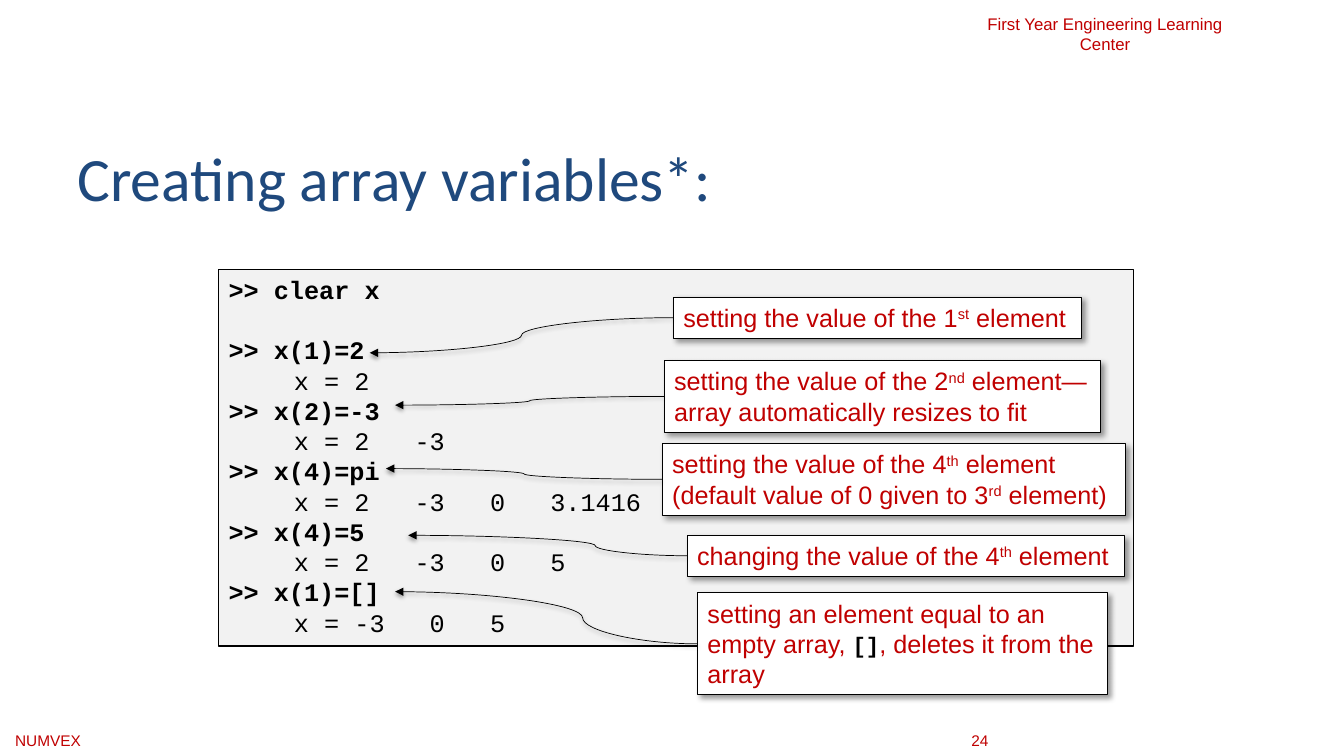
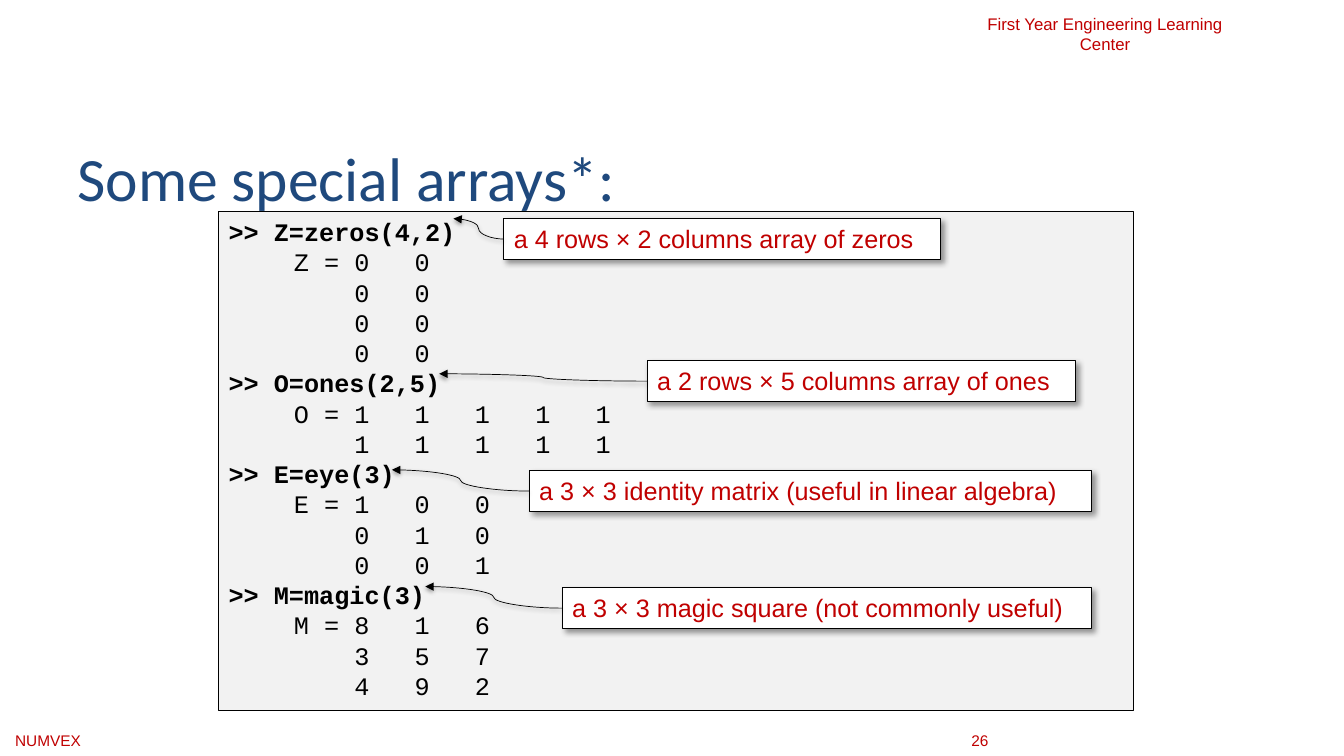
import dataclasses

import lxml.etree
import pptx
import pptx.dml.color
import pptx.enum.shapes
import pptx.enum.text
import pptx.oxml.ns
import pptx.util

Cm = pptx.util.Cm
Pt = pptx.util.Pt
ALIGN = pptx.enum.text.PP_ALIGN
ANCHOR = pptx.enum.text.MSO_ANCHOR

HEADER = "First Year Engineering Learning Center"
COURSE = "NUMVEX"

# Listing entries: command, printed name, rows of printed values.
# Callouts: spans of (text, style), left, top, width, line count, arrow tip, bend.
SLIDES = [
    {
        "title": "Creating array variables*:",
        "number": "24",
        "listing_box": (6.78, 9.5),
        "listing": [
            ("clear x", "", []),
            ("x(1)=2", "x", ["2"]),
            ("x(2)=-3", "x", ["2 -3"]),
            ("x(4)=pi", "x", ["2 -3 0 3.1416"]),
            ("x(4)=5", "x", ["2 -3 0 5"]),
            ("x(1)=[]", "x", ["-3 0 5"]),
        ],
        "callouts": [
            ([("setting the value of the 1", "note"), ("st", "raised"), (" element", "note")],
             16.97, 7.49, 10.29, 1, (9.32, 8.89), 0.5),
            ([("setting the value of the 2", "note"), ("nd", "raised"),
              (" element—array automatically resizes to fit", "note")],
             16.74, 9.09, 11, 2, (9.96, 10.21), 0.5),
            ([("setting the value of the 4", "note"), ("th", "raised"),
              (" element (default value of 0 given to 3", "note"), ("rd", "raised"),
              (" element)", "note")],
             16.69, 11.18, 11.68, 2, (9.73, 11.81), 0.5),
            ([("changing the value of the 4", "note"), ("th", "raised"), (" element", "note")],
             17.32, 13.49, 11.02, 1, (10.29, 13.49), 0.33),
            ([("setting an element equal to an empty array, ", "note"), ("[]", "inline_code"),
              (", deletes it from the array", "note")],
             17.58, 14.94, 10.34, 3, (9.96, 14.91), 0.38),
        ],
    },
    {
        "title": "Some special arrays*:",
        "number": "26",
        "listing_box": (5.33, 12.57),
        "listing": [
            ("Z=zeros(4,2)", "Z", ["0 0"] * 4),
            ("O=ones(2,5)", "O", ["1 1 1 1 1"] * 2),
            ("E=eye(3)", "E", ["1 0 0", "0 1 0", "0 0 1"]),
            ("M=magic(3)", "M", ["8 1 6", "3 5 7", "4 9 2"]),
        ],
        "callouts": [
            ([("a 4 rows × 2 columns array of zeros", "note")],
             12.7, 5.51, 11, 1, (11.43, 5.51), 0.5),
            ([("a 2 rows × 5 columns array of ones", "note")],
             16.31, 9.09, 10.8, 1, (11.07, 9.42), 0.5),
            ([("a 3 × 3 identity matrix (useful in linear algebra)", "note")],
             13.34, 11.86, 14.17, 1, (9.88, 11.84), 0.5),
            ([("a 3 × 3 magic square (not commonly useful)", "note")],
             14.17, 14.81, 13.34, 1, (10.72, 14.78), 0.5),
        ],
    },
]


@dataclasses.dataclass(frozen=True)
class Theme:
    red: str = "C00000"
    blue: str = "1F497D"
    black: str = "000000"
    white: str = "FFFFFF"
    grey: str = "F2F2F2"
    sans: str = "Arial"
    heading: str = "Calibri"
    mono: str = "Courier New"
    title_size: float = 44
    body_size: float = 18
    inline_size: float = 16
    header_size: float = 12
    footer_size: float = 11
    box_line: float = 0.75
    arrow_line: float = 0.5


THEME = Theme()
NOTE = dict(font=THEME.sans, size=THEME.body_size, color=THEME.red)
CODE = dict(font=THEME.mono, size=THEME.body_size, color=THEME.black)
STYLES = {
    "title": dict(font=THEME.heading, size=THEME.title_size, color=THEME.blue),
    "header": dict(NOTE, size=THEME.header_size),
    "footer": dict(NOTE, size=THEME.footer_size),
    "note": NOTE,
    "raised": dict(NOTE, raised=True),
    "output": CODE,
    "command": dict(CODE, bold=True),
    "inline_code": dict(CODE, size=THEME.inline_size, bold=True),
}

LISTING_LEFT, LISTING_WIDTH = 5.51, 23.06
OUTPUT_INDENT = 1.65
CHAR_WIDTH = 0.38
COLUMN_GAP = 3
LINE_HEIGHT = 0.77
BOX_PADDING = 0.26
BLANK_LINE = Pt(21.8)


def rgb(color):
    return pptx.dml.color.RGBColor.from_string(color)


def add_xml(parent, tag, **attributes):
    child = lxml.etree.SubElement(parent, pptx.oxml.ns.qn(tag))
    for name, value in attributes.items():
        child.set(name, str(value))
    return child


def add_span(para, text, *, font, size, color, bold=False, raised=False):
    span = para.add_run()
    span.text = text
    span.font.name = font
    span.font.size = Pt(size)
    span.font.bold = bold
    span.font.color.rgb = rgb(color)
    if raised:
        span._r.get_or_add_rPr().set("baseline", "30000")


def add_shadow(effects, blur, distance, angle, opacity):
    shadow = add_xml(effects, "a:outerShdw", blurRad=Pt(blur), dist=Pt(distance),
                     dir=angle * 60000, algn="tl", rotWithShape=0)
    tint = add_xml(shadow, "a:srgbClr", val=THEME.black)
    add_xml(tint, "a:alpha", val=opacity * 1000)


def prepare_frame(box, anchor=ANCHOR.TOP):
    frame = box.text_frame
    frame.word_wrap = True
    frame.vertical_anchor = anchor
    return frame


def add_label(page, text, style, left, top, width, height,
              align=ALIGN.LEFT, anchor=ANCHOR.TOP):
    box = page.shapes.add_textbox(Cm(left), Cm(top), Cm(width), Cm(height))
    para = prepare_frame(box, anchor).paragraphs[0]
    para.alignment = align
    add_span(para, text, **STYLES[style])


def add_panel(page, fill, left, top, width, height):
    box = page.shapes.add_shape(pptx.enum.shapes.MSO_SHAPE.RECTANGLE,
                                Cm(left), Cm(top), Cm(width), Cm(height))
    box.shadow.inherit = False
    box.fill.solid()
    box.fill.fore_color.rgb = rgb(fill)
    box.line.color.rgb = rgb(THEME.black)
    box.line.width = Pt(THEME.box_line)
    return box


def set_columns(para, first, values):
    """Put a tab stop where each value starts, a fixed gap after the one before."""
    tabs = add_xml(para._p.get_or_add_pPr(), "a:tabLst")
    position = first
    for value in values:
        add_xml(tabs, "a:tab", pos=Cm(position), algn="l")
        position += (len(value) + COLUMN_GAP) * CHAR_WIDTH


def add_listing(page, entries, top, height):
    box = add_panel(page, THEME.grey, LISTING_LEFT, top, LISTING_WIDTH, height)
    frame = prepare_frame(box)

    def add_line(text, style):
        para = frame.paragraphs[0]
        if para.runs:
            para = frame.add_paragraph()
        para.alignment = ALIGN.LEFT
        add_span(para, text, **STYLES[style])
        return para

    for command, name, rows in entries:
        para = add_line(">> " + command, "command")
        if not rows:
            para.space_after = BLANK_LINE
        prefix = f"{name} = "
        for index, row in enumerate(rows):
            values = row.split()
            start = OUTPUT_INDENT
            if index == 0:
                values[0] = prefix + values[0]
            else:
                start += len(prefix) * CHAR_WIDTH
            para = add_line("\t" + "\t".join(values), "output")
            set_columns(para, start, values)


def add_arrow(page, box, tip, bend):
    """Curve from the left side of a callout to the code it explains."""
    arrow = page.shapes.add_connector(pptx.enum.shapes.MSO_CONNECTOR.CURVE,
                                      box.left, box.top + box.height // 2,
                                      Cm(tip[0]), Cm(tip[1]))
    arrow.begin_connect(box, 1)
    arrow.line.color.rgb = rgb(THEME.black)
    arrow.line.width = Pt(THEME.arrow_line)
    properties = arrow._element.spPr
    add_xml(properties.find(pptx.oxml.ns.qn("a:ln")), "a:tailEnd", type="triangle")
    geometry = properties.find(pptx.oxml.ns.qn("a:prstGeom"))
    guides = geometry.find(pptx.oxml.ns.qn("a:avLst"))
    if guides is None:
        guides = add_xml(geometry, "a:avLst")
    add_xml(guides, "a:gd", name="adj1", fmla=f"val {round(bend * 100000)}")
    add_shadow(add_xml(properties, "a:effectLst"), 3.1, 1.6, 90, 38)


def add_callout(page, spans, left, top, width, lines, tip, bend):
    box = add_panel(page, THEME.white, left, top, width, BOX_PADDING + lines * LINE_HEIGHT)
    effects = box._element.spPr.find(pptx.oxml.ns.qn("a:effectLst"))
    add_shadow(effects, 4, 3, 45, 40)
    para = prepare_frame(box).paragraphs[0]
    para.alignment = ALIGN.LEFT
    for text, style in spans:
        add_span(para, text, **STYLES[style])
    add_arrow(page, box, tip, bend)


def add_page(deck, content):
    page = deck.slides.add_slide(deck.slide_layouts[6])
    add_label(page, COURSE, "footer", 0.13, 18.29, 5, 0.74)
    add_label(page, content["number"], "footer", 24.23, 18.29, 2, 0.74)
    add_label(page, HEADER, "header", 24.28, 0.23, 7.14, 1.27, align=ALIGN.CENTER)
    add_label(page, content["title"], "title", 1.7, 3.3, 30.48, 2.29, anchor=ANCHOR.MIDDLE)
    add_listing(page, content["listing"], *content["listing_box"])
    for callout in content["callouts"]:
        add_callout(page, *callout)


def main():
    deck = pptx.Presentation()
    deck.slide_width, deck.slide_height = Cm(33.87), Cm(19.05)
    for content in SLIDES:
        add_page(deck, content)
    deck.save("out.pptx")


if __name__ == "__main__":
    main()
